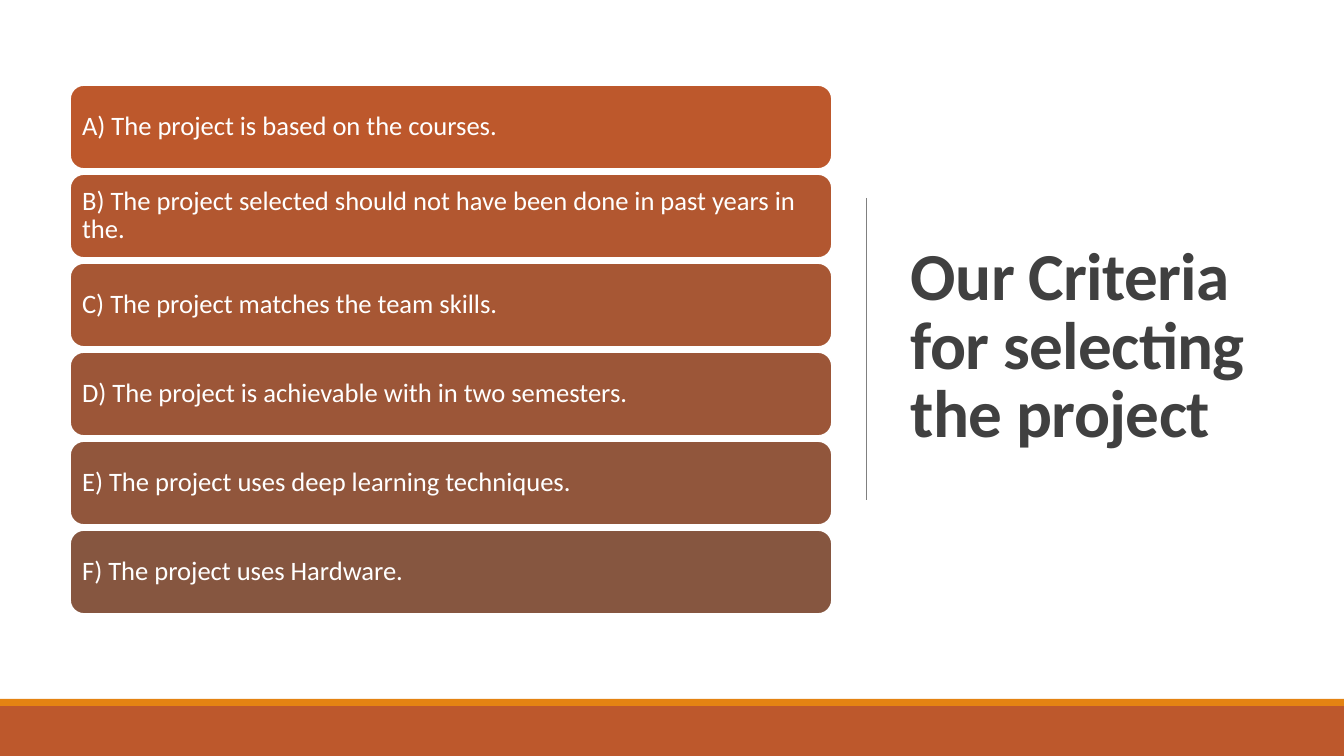
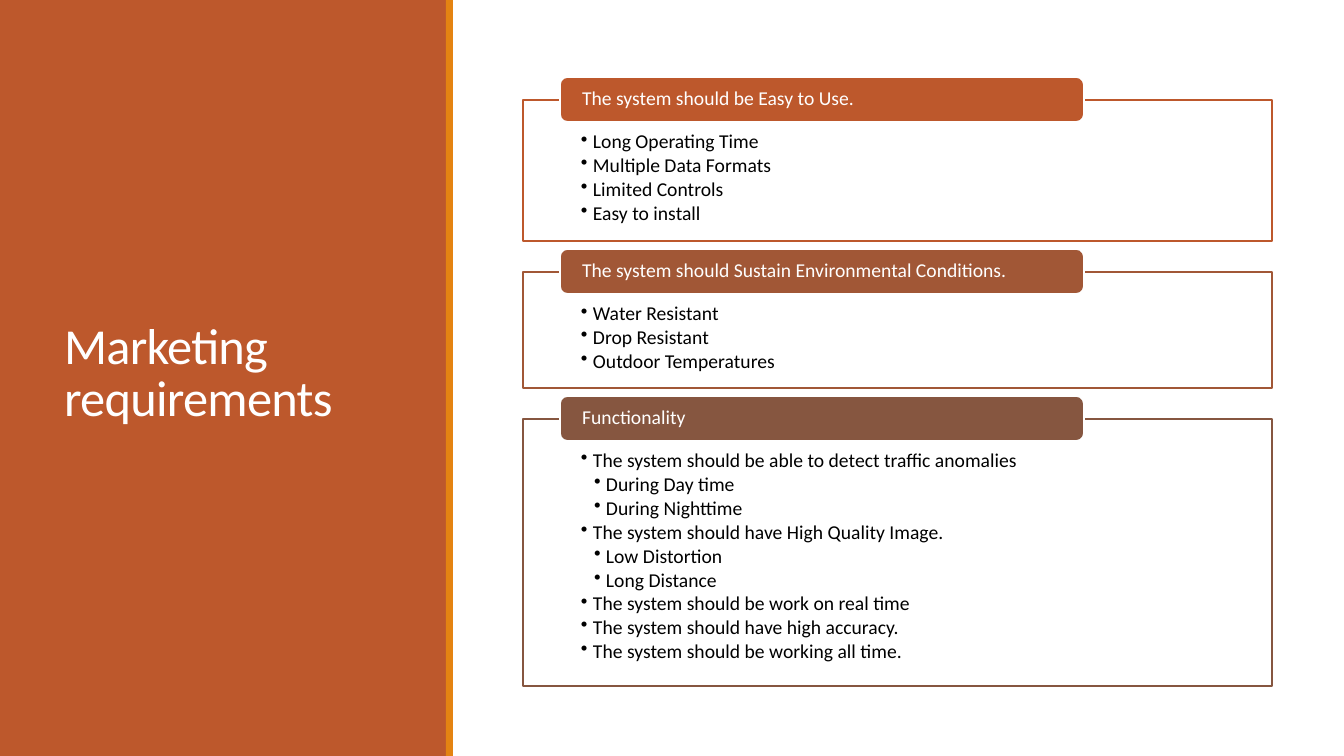
"""Build two slides: project selection criteria and marketing requirements."""
from dataclasses import dataclass

from lxml import etree
from pptx import Presentation
from pptx.dml.color import RGBColor as RGB
from pptx.enum.shapes import MSO_CONNECTOR as CONN, MSO_SHAPE as SHAPE
from pptx.enum.text import MSO_ANCHOR as ANCHOR, PP_ALIGN as ALIGN
from pptx.oxml.ns import qn
from pptx.util import Emu, Pt

PX_PER_INCH = 100.8
SLIDE_W, SLIDE_H = 1344, 756
STRIPE = 7

RUST = RGB(0xBD, 0x58, 0x2C)
BROWN = RGB(0x86, 0x56, 0x40)
ORANGE = RGB(0xE4, 0x83, 0x12)
WHITE = RGB(0xFF, 0xFF, 0xFF)
BLACK = RGB(0, 0, 0)
DARK = RGB(0x40, 0x40, 0x40)
GRAY = RGB(0x80, 0x80, 0x80)
FONT = "Calibri"


@dataclass(frozen=True)
class Box:
    x: int
    y: int
    w: int
    h: int


@dataclass(frozen=True)
class Card:
    heading: str
    height: int
    items: tuple[tuple[int, str], ...]


CRITERIA = (
    "A) The project is based on the courses.",
    "B) The project selected should not have been done in past years in the.",
    "C) The project matches the team skills.",
    "D) The project is achievable with in two semesters.",
    "E) The project uses deep learning techniques.",
    "F) The project uses Hardware.",
)

CARDS = (
    Card("The system should be Easy to Use.", 141, (
        (1, "Long Operating Time"),
        (1, "Multiple Data Formats"),
        (1, "Limited Controls"),
        (1, "Easy to install"),
    )),
    Card("The system should Sustain Environmental Conditions.", 116, (
        (1, "Water Resistant"),
        (1, "Drop Resistant"),
        (1, "Outdoor Temperatures"),
    )),
    Card("Functionality", 267, (
        (1, "The system should be able to detect traffic anomalies"),
        (2, "During Day time"),
        (2, "During Nighttime"),
        (1, "The system should have High Quality Image."),
        (2, "Low Distortion"),
        (2, "Long Distance"),
        (1, "The system should be work on real time"),
        (1, "The system should have high accuracy."),
        (1, "The system should be working all time."),
    )),
)


def px(n: int) -> Emu:
    return Emu(round(n * 914400 / PX_PER_INCH))


def place(box: Box) -> tuple[Emu, ...]:
    return tuple(px(n) for n in (box.x, box.y, box.w, box.h))


def ramp(step: int, count: int) -> RGB:
    """Give one colour of an even ramp from rust to brown."""
    return RGB(*(a + (b - a) * step // (count - 1) for a, b in zip(RUST, BROWN)))


def add_box(s, box: Box, fill: RGB, line: RGB | None = None, kind=SHAPE.RECTANGLE):
    sp = s.shapes.add_shape(kind, *place(box))
    sp.shadow.inherit = False
    sp.fill.solid()
    sp.fill.fore_color.rgb = fill
    if line is None:
        sp.line.fill.background()
    else:
        sp.line.color.rgb = line
        sp.line.width = Pt(1.25)
    return sp


def set_frame(sp, insets: tuple[int, int, int, int], anchor=ANCHOR.MIDDLE):
    tf = sp.text_frame
    tf.word_wrap = True
    tf.vertical_anchor = anchor
    tf.margin_left, tf.margin_top, tf.margin_right, tf.margin_bottom = map(px, insets)
    return tf


def write(p, text: str, *, size: int, color: RGB, bold: bool = False,
          leading: float = 0.9, tracking: int = 0) -> None:
    p.alignment = ALIGN.LEFT
    p.line_spacing = leading
    r = p.add_run()
    r.text = text
    r.font.name, r.font.size, r.font.bold = FONT, Pt(size), bold
    r.font.color.rgb = color
    if tracking:
        r.font._element.set("spc", str(tracking))


def add_bullet(p, level: int) -> None:
    indent = px(12)
    p.level = level
    ppr = p._p.get_or_add_pPr()
    ppr.set("marL", str(indent * level + px(1) * (level - 1)))
    ppr.set("indent", str(-indent))
    etree.SubElement(ppr, qn("a:buChar")).set("char", "•")
    p.space_after = Pt(1.9)


def add_title(s, text: str, box: Box, *, size: int, color: RGB, bold: bool = False) -> None:
    tf = set_frame(s.shapes.add_textbox(*place(box)), (10, 5, 10, 5))
    write(tf.paragraphs[0], text, size=size, color=color, bold=bold, leading=0.85, tracking=-50)


def add_bands(s, panel: Box, stripe: Box) -> None:
    add_box(s, panel, RUST)
    add_box(s, stripe, ORANGE)


def add_divider(s, x: int, top: int, bottom: int) -> None:
    line = s.shapes.add_connector(CONN.STRAIGHT, px(x), px(top), px(x), px(bottom))
    line.line.color.rgb = GRAY
    line.line.width = Pt(0.5)
    etree.SubElement(line._element.spPr, qn("a:effectLst"))


def add_label(s, text: str, box: Box, fill: RGB, *, size: int,
              insets: tuple[int, int, int, int]) -> None:
    sp = add_box(s, box, fill, WHITE, SHAPE.ROUNDED_RECTANGLE)
    write(set_frame(sp, insets).paragraphs[0], text, size=size, color=WHITE)


def add_card(s, card: Card, top: int, color: RGB) -> None:
    sp = add_box(s, Box(523, top, 749, card.height), WHITE, color)
    tf = set_frame(sp, (58, 32, 58, 11), ANCHOR.TOP)
    for i, (level, text) in enumerate(card.items):
        p = tf.add_paragraph() if i else tf.paragraphs[0]
        add_bullet(p, level)
        write(p, text, size=14, color=BLACK)
    add_label(s, card.heading, Box(560, top - 23, 524, 45), color, size=14, insets=(20, 0, 20, 0))


def build_criteria(s) -> None:
    band_top = 706
    add_bands(s, Box(0, band_top, SLIDE_W, SLIDE_H - band_top),
              Box(0, band_top - STRIPE, SLIDE_W, STRIPE))
    add_title(s, "Our Criteria for selecting the project", Box(901, 70, 372, 557),
              size=48, color=DARK, bold=True)
    add_divider(s, 866, 198, 500)
    for i, text in enumerate(CRITERIA):
        add_label(s, text, Box(70, 85 + 89 * i, 762, 84), ramp(i, len(CRITERIA)),
                  size=19, insets=(8, 8, 8, 8))


def build_requirements(s) -> None:
    panel_w = 446
    add_bands(s, Box(0, 0, panel_w, SLIDE_H), Box(panel_w, 0, STRIPE, SLIDE_H))
    add_title(s, "Marketing requirements", Box(54, 57, 340, 636), size=36, color=WHITE)
    top, gap = 100, 31
    for i, card in enumerate(CARDS):
        add_card(s, card, top, ramp(i, len(CARDS)))
        top += card.height + gap


def main() -> None:
    prs = Presentation()
    prs.slide_width, prs.slide_height = px(SLIDE_W), px(SLIDE_H)
    for build in (build_criteria, build_requirements):
        build(prs.slides.add_slide(prs.slide_layouts[6]))
    prs.save("out.pptx")


if __name__ == "__main__":
    main()
